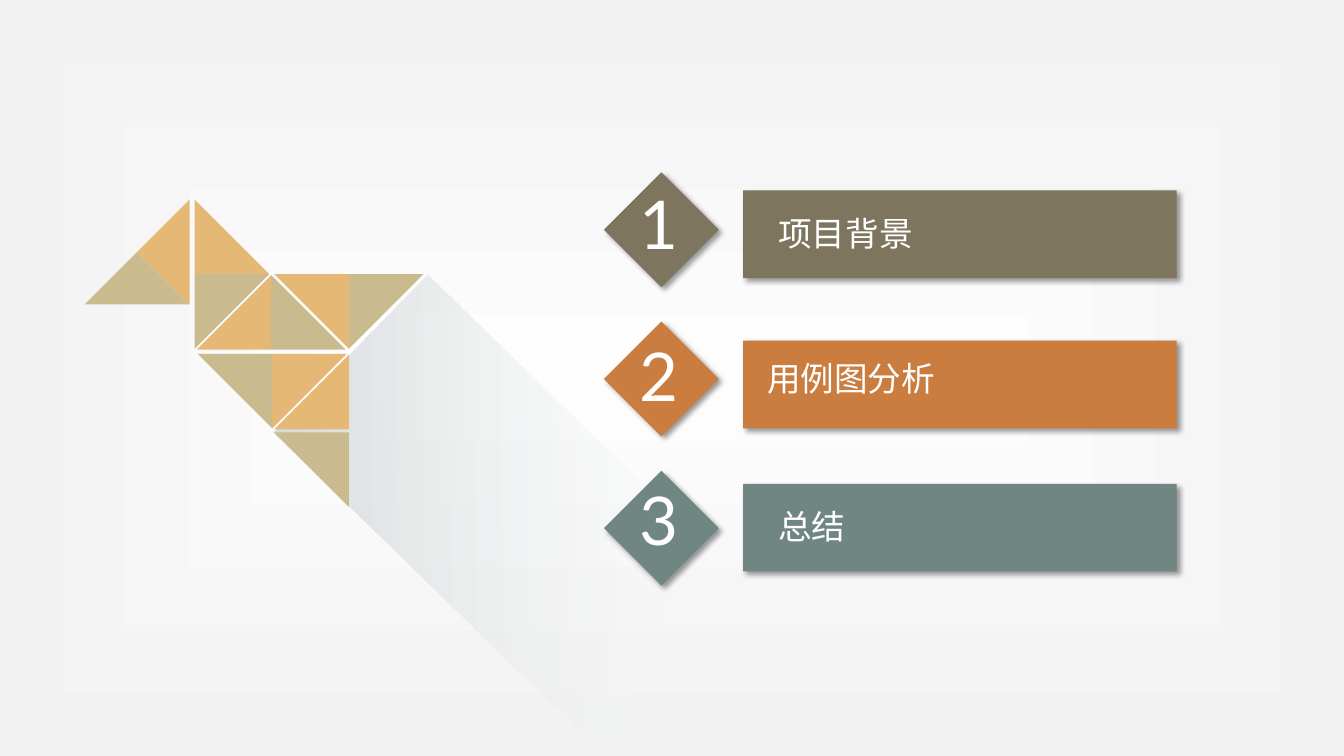
from lxml.etree import SubElement
from pptx import Presentation
from pptx.dml.color import RGBColor
from pptx.enum.shapes import MSO_SHAPE
from pptx.enum.text import MSO_AUTO_SIZE
from pptx.oxml.ns import qn
from pptx.util import Inches, Pt

TAN, GOLD = "CABB8F", "E6B875"


def rgb(value):
    return RGBColor.from_string(value)


def add(parent, tag, **attrs):
    return SubElement(parent, qn(tag), {k: str(v) for k, v in attrs.items()})


class SlideBuilder:
    font_latin = "Lato"
    font_cjk = "Noto Sans CJK SC"
    text_color = "FFFFFF"

    def __init__(self, slide):
        self.s = slide

    def gradient(self, fill, root, stops):
        fill.gradient()
        grad = root.find(".//" + qn("a:gradFill"))
        for child in list(grad):
            grad.remove(child)
        grad.set("rotWithShape", "1")
        gs_list = add(grad, "a:gsLst")
        for pos, color, alpha in stops:
            clr = add(add(gs_list, "a:gs", pos=pos * 1000), "a:srgbClr", val=color)
            if alpha < 100:
                add(clr, "a:alpha", val=alpha * 1000)
        return grad

    def background(self, center, edge):
        stops = [(0, center, 100), (100, edge, 100)]
        grad = self.gradient(self.s.background.fill, self.s._element, stops)
        shade = add(grad, "a:path", path="shape")
        add(shade, "a:fillToRect", l=50000, t=50000, r=50000, b=50000)

    def shape(self, kind, x, y, w, h):
        sp = self.s.shapes.add_shape(kind, Inches(x), Inches(y), Inches(w), Inches(h))
        sp.shadow.inherit = False
        sp.line.fill.background()
        return sp

    def long_shadow(self, x, y, w, h, rotation, angle):
        sp = self.shape(MSO_SHAPE.RECTANGLE, x, y, w, h)
        sp.rotation = rotation
        stops = [(0, "FDFDFD", 6), (100, "D7DBDC", 100)]
        grad = self.gradient(sp.fill, sp._element, stops)
        add(grad, "a:lin", ang=angle * 60000, scaled=0)

    def raised(self, kind, x, y, w, h, color):
        sp = self.shape(kind, x, y, w, h)
        sp.fill.solid()
        sp.fill.fore_color.rgb = rgb(color)
        effects = sp._element.spPr.find(qn("a:effectLst"))
        shadow = add(effects, "a:outerShdw", blurRad=Pt(4), dist=Pt(3),
                     dir=45 * 60000, algn="tl", rotWithShape=0)
        add(add(shadow, "a:srgbClr", val="000000"), "a:alpha", val=40000)

    def polygon(self, points, color):
        (x, y), *rest = [(Inches(px), Inches(py)) for px, py in points]
        builder = self.s.shapes.build_freeform(x, y)
        builder.add_line_segments(rest, close=True)
        sp = builder.convert_to_shape()
        sp.shadow.inherit = False
        sp.line.fill.background()
        sp.fill.solid()
        sp.fill.fore_color.rgb = rgb(color)

    def corner(self, x, y, dx, dy, color, leg=0.74):
        self.polygon([(x, y), (x + dx * leg, y), (x, y + dy * leg)], color)

    def text(self, text, x, y, w, h, size, font):
        sp = self.s.shapes.add_textbox(Inches(x), Inches(y), Inches(w), Inches(h))
        tf = sp.text_frame
        tf.text = text
        tf.word_wrap = False
        tf.auto_size = MSO_AUTO_SIZE.SHAPE_TO_FIT_TEXT
        r = tf.paragraphs[0].runs[0]
        r.font.size = Pt(size)
        r.font.color.rgb = rgb(self.text_color)
        r.font.name = font
        add(r._r.get_or_add_rPr(), "a:ea", typeface=font)


def main():
    prs = Presentation()
    prs.slide_width, prs.slide_height = Inches(13.33), Inches(7.5)
    b = SlideBuilder(prs.slides.add_slide(prs.slide_layouts[6]))
    b.background("FDFDFD", "F2F2F2")

    b.long_shadow(2.83, 4.01, 4.56, 2.19, 44.3, 135)
    b.polygon([(1.88, 1.98), (1.36, 2.5), (1.88, 3.02)], GOLD)
    b.polygon([(1.88, 3.02), (1.36, 2.5), (0.84, 3.02)], TAN)
    bird = [
        (1.93, 2.72, 1, -1, GOLD), (1.93, 2.72, 1, 1, TAN),
        (2.69, 3.47, -1, -1, GOLD), (2.69, 3.47, 1, -1, TAN),
        (2.7, 3.51, 1, 1, GOLD), (2.7, 3.51, -1, 1, TAN),
        (3.46, 2.72, 1, 1, TAN), (3.46, 2.72, -1, 1, GOLD),
        (3.46, 4.29, -1, 1, TAN), (3.46, 4.26, -1, -1, GOLD),
    ]
    for triangle in bird:
        b.corner(*triangle)

    agenda = [
        ("项目背景", "7D755D", 1.76, 1.89, 7.62, 2.06, 1.55),
        ("用例图分析", "CB7D40", 3.27, 3.38, 7.51, 3.5, 1.88),
        ("总结", "6F8683", 4.7, 4.8, 7.62, 4.97, 0.88),
    ]
    for i, (title, color, number_y, bar_y, title_x, title_y, title_w) in enumerate(agenda):
        b.raised(MSO_SHAPE.DIAMOND, 5.99, 1.71 + i * 1.48, 1.14, 1.14, color)
        b.text(str(i + 1), 6.24, number_y, 0.64, 0.91, 48, b.font_latin)
        b.raised(MSO_SHAPE.RECTANGLE, 7.37, bar_y, 4.3, 0.87, color)
        b.text(title, title_x, title_y, title_w, 0.5, 24, b.font_cjk)

    prs.save("out.pptx")


if __name__ == "__main__":
    main()
